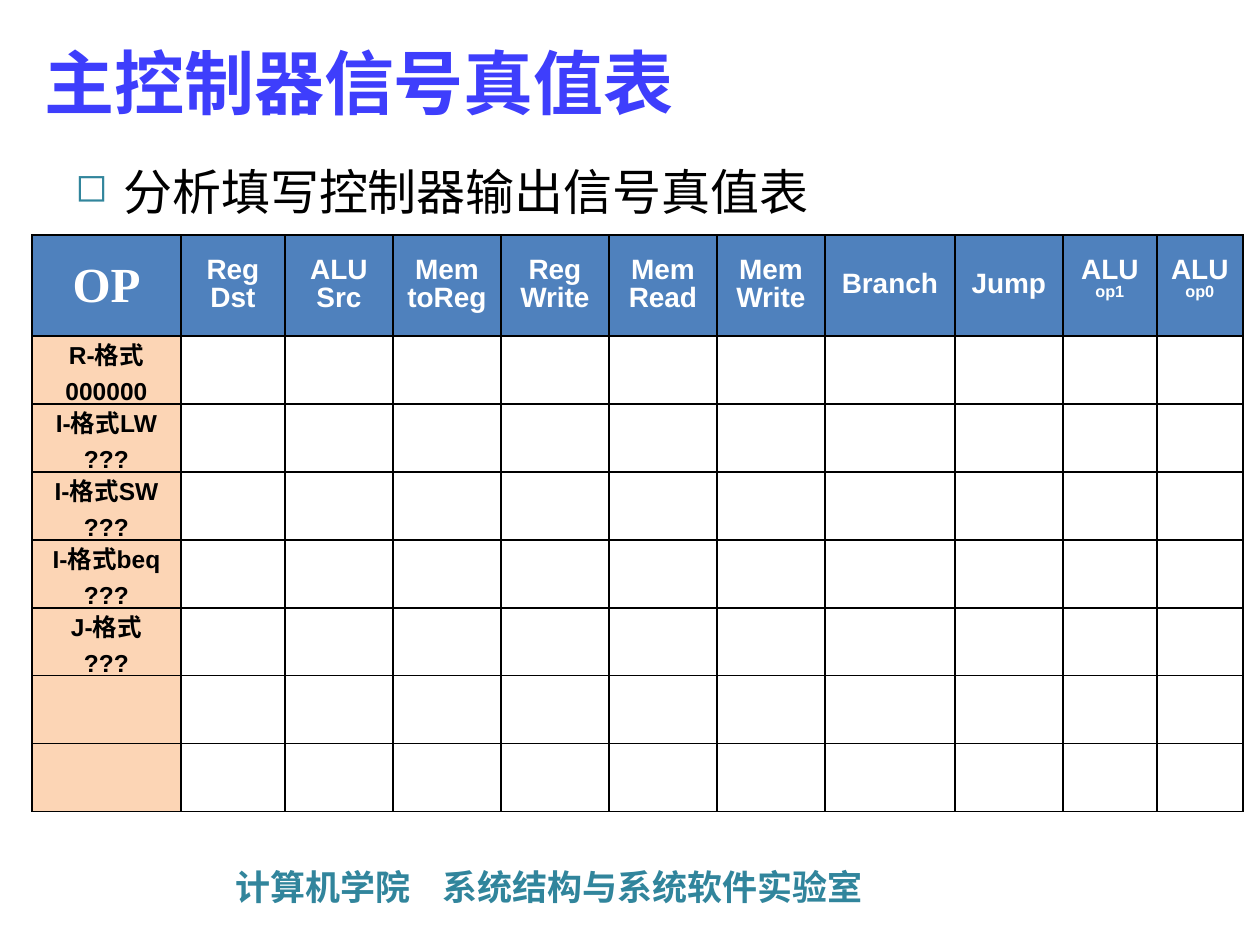
from lxml.etree import SubElement
from pptx import Presentation
from pptx.dml.color import RGBColor
from pptx.enum.text import MSO_ANCHOR, PP_ALIGN
from pptx.oxml.ns import qn
from pptx.util import Pt

PX = 914400 // 126
BLUE = RGBColor(0x3E, 0x3E, 0xFC)
TEAL = RGBColor(0x31, 0x85, 0x9C)
HEADER = RGBColor(0x4F, 0x81, 0xBD)
PEACH = RGBColor(0xFC, 0xD5, 0xB5)
WHITE = RGBColor(0xFF, 0xFF, 0xFF)
BLACK = RGBColor(0, 0, 0)
CJK = "Noto Sans CJK SC"
SERIF = "Times New Roman"
SANS = "Arial"

COLUMNS = [149, 104] + [108] * 5 + [130, 108, 94, 86]
HEADER_HEIGHT = 101
ROW_HEIGHT = 68
SIGNALS = ["OP", "Reg\nDst", "ALU\nSrc", "Mem\ntoReg", "Reg\nWrite", "Mem\nRead",
           "Mem\nWrite", "Branch", "Jump", "ALU\nop1", "ALU\nop0"]
FORMATS = ["R-格式\n000000", "I-格式LW\n???", "I-格式SW\n???",
           "I-格式beq\n???", "J-格式\n???", "", ""]


def style_run(r, size, font, color, bold=False):
    r.font.size = Pt(size)
    r.font.name = font
    r.font.bold = bold
    r.font.color.rgb = color
    SubElement(r._r.get_or_add_rPr(), qn("a:ea"), typeface=CJK)


def add_text(s, box, text, size, font, color, bold=False, anchor=MSO_ANCHOR.TOP):
    sp = s.shapes.add_textbox(*[n * PX for n in box])
    tf = sp.text_frame
    tf.word_wrap = True
    tf.vertical_anchor = anchor
    tf.text = text
    p = tf.paragraphs[0]
    style_run(p.runs[0], size, font, color, bold)
    return p


def add_bullet(p, char, color, percent, indent):
    pPr = p._p.get_or_add_pPr()
    pPr.set("marL", str(indent * PX))
    pPr.set("indent", str(-indent * PX))
    clr = SubElement(pPr, qn("a:buClr"))
    SubElement(clr, qn("a:srgbClr"), val=str(color))
    SubElement(pPr, qn("a:buSzPct"), val=str(percent * 1000))
    SubElement(pPr, qn("a:buChar"), char=char)


def add_tab_stop(p, position):
    tabs = SubElement(p._p.get_or_add_pPr(), qn("a:tabLst"))
    SubElement(tabs, qn("a:tab"), pos=str(position * PX), algn="l")


def format_cell(cell, fill):
    tcPr = cell._tc.get_or_add_tcPr()
    for side in ("a:lnL", "a:lnR", "a:lnT", "a:lnB"):
        ln = SubElement(tcPr, qn(side), w=str(Pt(1)))
        SubElement(SubElement(ln, qn("a:solidFill")), qn("a:srgbClr"), val=str(BLACK))
    if fill is None:
        cell.fill.background()
    else:
        cell.fill.solid()
        cell.fill.fore_color.rgb = fill


def fill_cell(cell, text, size, font, color, spacing=None, before=None):
    cell.margin_left = cell.margin_right = cell.margin_top = cell.margin_bottom = 0
    cell.vertical_anchor = MSO_ANCHOR.MIDDLE
    cell.text_frame.text = text
    for p in cell.text_frame.paragraphs:
        p.alignment = PP_ALIGN.CENTER
        if spacing:
            p.line_spacing = Pt(spacing)
        if before:
            p.space_before = Pt(before)
        for r in p.runs:
            style_run(r, size, font, color, True)
            if r.text.startswith("op"):
                r.font._element.set("baseline", "-25000")


def add_truth_table(s, left, top):
    rows = len(FORMATS) + 1
    height = HEADER_HEIGHT + ROW_HEIGHT * len(FORMATS)
    table = s.shapes.add_table(rows, len(COLUMNS), left * PX, top * PX,
                               sum(COLUMNS) * PX, height * PX).table
    for column, width in zip(table.columns, COLUMNS):
        column.width = width * PX
    for i, row in enumerate(table.rows):
        row.height = (ROW_HEIGHT if i else HEADER_HEIGHT) * PX
        for j, cell in enumerate(row.cells):
            format_cell(cell, HEADER if i == 0 else PEACH if j == 0 else None)
    for j, signal in enumerate(SIGNALS):
        if j == 0:
            fill_cell(table.cell(0, j), signal, 28, SERIF, WHITE)
        else:
            spacing = 9 if "op" in signal else 16
            fill_cell(table.cell(0, j), signal, 16, SANS, WHITE, spacing=spacing)
    for i, label in enumerate(FORMATS, 1):
        if label:
            fill_cell(table.cell(i, 0), label, 14, SANS, BLACK, before=3.9)


def main():
    prs = Presentation()
    prs.slide_width = 1260 * PX
    prs.slide_height = 945 * PX
    s = prs.slides.add_slide(prs.slide_layouts[6])
    footer = add_text(s, (223, 859, 912, 55), "计算机学院\t系统结构与系统软件实验室",
                      20, CJK, TEAL, True)
    add_tab_stop(footer, 207)
    add_text(s, (32, 16, 1085, 131), "主控制器信号真值表", 40, SERIF, BLUE, True,
             MSO_ANCHOR.MIDDLE)
    task = add_text(s, (63, 155, 1134, 684), "分析填写控制器输出信号真值表",
                    28, SERIF, BLACK)
    task.space_before = Pt(5.6)
    add_bullet(task, "◻", TEAL, 80, 48)
    add_truth_table(s, 32, 235)
    prs.save("out.pptx")


if __name__ == "__main__":
    main()
